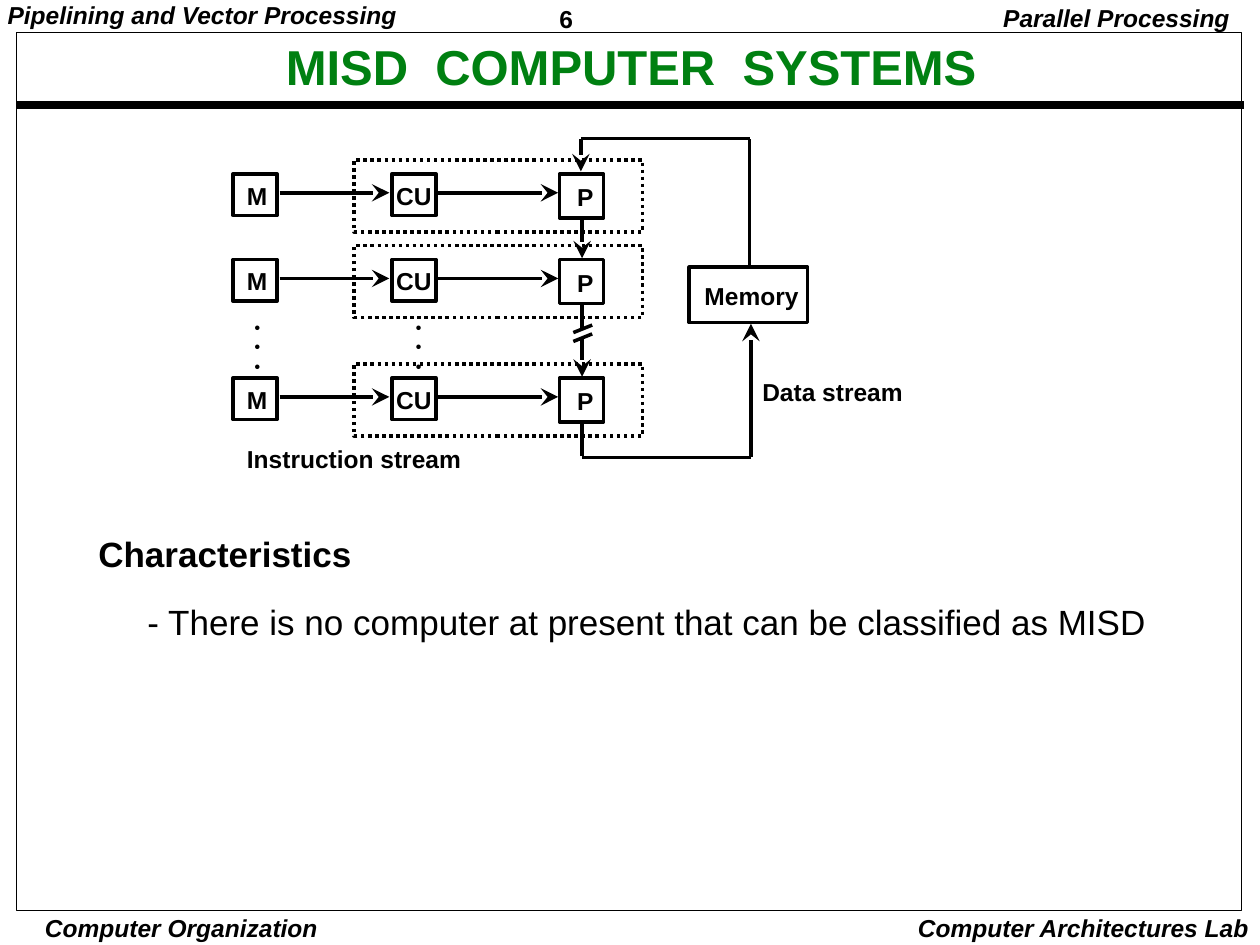
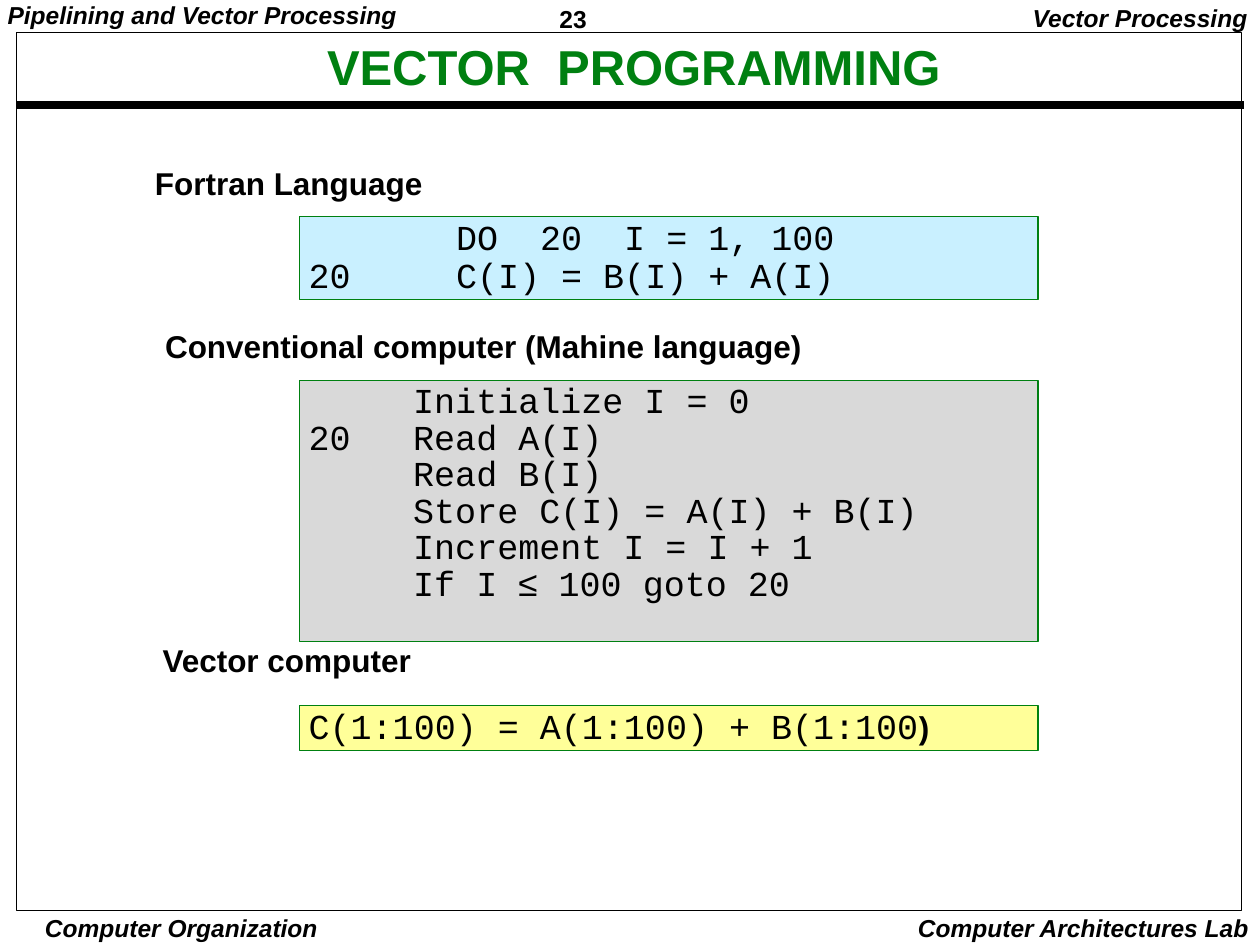
import pptx
import pptx.dml.color
import pptx.enum.dml
import pptx.enum.shapes
import pptx.enum.text
import pptx.oxml
import pptx.oxml.ns
import pptx.util
import lxml.etree
from dataclasses import dataclass

Inches, Pt = pptx.util.Inches, pptx.util.Pt
Align, Anchor = pptx.enum.text.PP_ALIGN, pptx.enum.text.MSO_ANCHOR
qn = pptx.oxml.ns.qn


@dataclass(frozen=True)
class Theme:
    ink: str = "000000"
    paper: str = "FFFFFF"
    green: str = "008011"
    blue: str = "C9F0FF"
    grey: str = "D9D9D9"
    yellow: str = "FFFF99"
    sans: str = "Arial"
    mono: str = "Courier New"
    title: int = 28
    body: int = 20
    heading: int = 18
    label: int = 14
    dots: int = 9


theme = Theme()


def rgb(value):
    return pptx.dml.color.RGBColor.from_string(value)


def place(slide, at, text="", size=theme.label, font=theme.sans, color=theme.ink,
          bold=True, italic=False, align=Align.LEFT, anchor=Anchor.TOP, spacing=0.9,
          insets=(0.07, 0.03, 0.07, 0.03), wrap=False, outline=None, weight=2, fill=None):
    """Add a text box, or a rectangle when an outline colour is given."""
    area = [Inches(length) for length in at]
    if outline:
        box = slide.shapes.add_shape(pptx.enum.shapes.MSO_SHAPE.RECTANGLE, *area)
        box.shadow.inherit = False
        box.line.color.rgb = rgb(outline)
        box.line.width = Pt(weight)
        if fill:
            box.fill.solid()
            box.fill.fore_color.rgb = rgb(fill)
        else:
            box.fill.background()
    else:
        box = slide.shapes.add_textbox(*area)
    frame = box.text_frame
    frame.text = text
    frame.word_wrap = wrap
    frame.vertical_anchor = anchor
    if not outline and not wrap:
        frame.auto_size = pptx.enum.text.MSO_AUTO_SIZE.SHAPE_TO_FIT_TEXT
    frame.margin_left, frame.margin_top, frame.margin_right, frame.margin_bottom = map(Inches, insets)
    for paragraph in frame.paragraphs:
        paragraph.alignment = align
        paragraph.line_spacing = spacing
        for run in paragraph.runs:
            run.font.name, run.font.size = font, Pt(size)
            run.font.bold, run.font.italic = bold, italic
            run.font.color.rgb = rgb(color)
    return box


def connect(slide, start, end, arrow=False, weight=2, color=theme.ink):
    line = slide.shapes.add_connector(pptx.enum.shapes.MSO_CONNECTOR.STRAIGHT,
                                      *[Inches(length) for length in (*start, *end)])
    line.line.color.rgb = rgb(color)
    line.line.width = Pt(weight)
    if arrow:
        lxml.etree.SubElement(line.line._get_or_add_ln(), qn("a:tailEnd"),
                              type="stealth", w="lg", len="lg")
    lxml.etree.SubElement(line._element.spPr, qn("a:effectLst"))


deck = pptx.Presentation()
deck.slide_width, deck.slide_height = Inches(10), Inches(7.5)

# Shared header, title, frame and footer; the topic is given with its right edge
pages = [
    ("6", "MISD  COMPUTER  SYSTEMS", 5.01, "Parallel Processing", 9.86),
    ("23", "VECTOR  PROGRAMMING", 5.03, "Vector Processing", 10),
]
slides = []
for number, title, title_center, topic, topic_right in pages:
    slide = deck.slides.add_slide(deck.slide_layouts[6])
    slides.append(slide)
    place(slide, (4.37, 0, 1.08, 0.29), number, spacing=1.01)
    place(slide, (-0.01, 0, 3.24, 0.27), "Pipelining and Vector Processing", italic=True)
    place(slide, (0.24, 7.24, 2.4, 0.26), "Computer Organization", italic=True,
          align=Align.CENTER, spacing=1.0, insets=(0.03, 0.01, 0.03, 0.01))
    place(slide, (7.18, 7.2, 2.83, 0.33), "Computer Architectures Lab", italic=True,
          align=Align.RIGHT, spacing=1.0, insets=(0.1, 0.05, 0.1, 0.05))
    connect(slide, (0.13, 0.83), (9.87, 0.83), weight=4.5)
    place(slide, (0.13, 0.26, 9.72, 6.97), outline=theme.ink, weight=0.5)
    place(slide, (title_center - 4.45, 0.17, 8.9, 0.76), title, size=theme.title,
          color=theme.green, align=Align.CENTER, anchor=Anchor.MIDDLE, wrap=True)
    place(slide, (topic_right - 2.1, 0, 2.1, 0.31), topic, italic=True, align=Align.RIGHT,
          insets=(0.1, 0.05, 0.1, 0.05))
misd, vector = slides

# MISD: one row per memory module, control unit and processor
row_tops = (1.38, 2.06, 3)
units = [("M", 1.85, 0.33, 0.03), ("CU", 3.11, 0.33, 0), ("P", 4.44, 0.35, 0.06)]
for top in row_tops:
    for unit, left, height, inset in units:
        place(misd, (left, top, 0.35, height), unit, align=Align.CENTER,
              anchor=Anchor.MIDDLE, insets=(inset, 0.04, 0, 0), outline=theme.ink)
    processor_group = place(misd, (2.81, top - 0.11, 2.29, 0.57), outline=theme.ink)
    processor_group.line.dash_style = pptx.enum.dml.MSO_LINE.ROUND_DOT
    for start, end in ((2.22, 3.09), (3.47, 4.43)):
        connect(misd, (start, top + 0.15), (end, top + 0.15), arrow=True)

# Data passes down the processors; the break stands for those left out
data_x = 4.62
for upper, lower in zip(row_tops, row_tops[1:]):
    connect(misd, (data_x, upper + 0.36), (data_x, lower - 0.01), arrow=True)
connect(misd, (data_x, 2.62), (data_x, 2.69), color=theme.paper)
for top in (2.58, 2.65):
    connect(misd, (4.7, top), (4.55, top + 0.06))
for left in (1.95, 3.23):
    place(misd, (left, 2.49, 0.18, 0.52), "•\n•\n•", size=theme.dots, spacing=1.02)

# Data loop through the memory
connect(misd, (data_x, 3.36), (data_x, 3.62))
connect(misd, (data_x, 3.63), (5.96, 3.63))
connect(misd, (5.96, 3.63), (5.96, 2.57), arrow=True)
connect(misd, (5.95, 2.13), (5.95, 1.1))
connect(misd, (5.95, 1.1), (4.61, 1.1))
connect(misd, (4.61, 1.1), (4.61, 1.36), arrow=True)
place(misd, (5.47, 2.12, 0.94, 0.44), "Memory", align=Align.CENTER,
      anchor=Anchor.MIDDLE, insets=(0.05, 0.04, 0, 0), outline=theme.ink)
place(misd, (1.89, 3.52, 2.1, 0.27), "Instruction stream")
place(misd, (5.98, 2.99, 1.5, 0.27), "Data stream")

characteristics = place(
    misd, (0.71, 4.25, 8.78, 0.88),
    "Characteristics\n- There is no computer at present that can be classified as MISD",
    size=theme.body, spacing=0.85, wrap=True)
remark = characteristics.text_frame.paragraphs[1]
remark.space_before = Pt(18)
remark.runs[0].font.bold = False
remark._p.get_or_add_pPr().set("marL", str(Inches(0.39)))

# Vector programming: the same loop in three notations
headings = [
    (1.16, 1.31, 4.06, "Fortran Language"),
    (1.24, 2.6, 5.4, "Conventional computer (Mahine language)"),
    (1.22, 5.09, 2.4, "Vector computer"),
]
for left, top, width, heading in headings:
    place(vector, (left, top, width, 0.33), heading, size=theme.heading)

# Each listing: top, height, fill, line spacing, statement column, code, closing runs
listings = [
    (1.72, 0.66, theme.blue, 0.9, 1.17,
     "\tDO  20  I = 1, 100\n20\tC(I) = B(I) + A(I)", []),
    (3.02, 2.07, theme.grey, 0.87, 0.83,
     "\tInitialize I = 0\n20\tRead A(I)\n\tRead B(I)\n\tStore C(I) = A(I) + B(I)\n"
     "\tIncrement I = I + 1\n\tIf I ",
     [("≤", theme.sans, theme.body, False), (" 100 goto 20", theme.mono, theme.body, False)]),
    (5.6, 0.36, theme.yellow, 0.9, 0.83,
     "C(1:100) = A(1:100) + B(1:100", [(")", theme.sans, theme.heading, True)]),
]
for top, height, fill, spacing, column, code, closing_runs in listings:
    listing = place(vector, (2.38, top, 5.86, height), code, size=theme.body,
                    font=theme.mono, bold=False, spacing=spacing, wrap=True,
                    outline=theme.green, weight=0.75, fill=fill)
    statements = listing.text_frame.paragraphs
    for statement in statements:
        tabs = lxml.etree.SubElement(statement._p.get_or_add_pPr(), qn("a:tabLst"))
        lxml.etree.SubElement(tabs, qn("a:tab"), pos=str(Inches(column)), algn="l")
    for text, font, size, bold in closing_runs:
        run = statements[-1].add_run()
        run.text = text
        run.font.name, run.font.size, run.font.bold = font, Pt(size), bold
        run.font.color.rgb = rgb(theme.ink)

deck.save("out.pptx")
